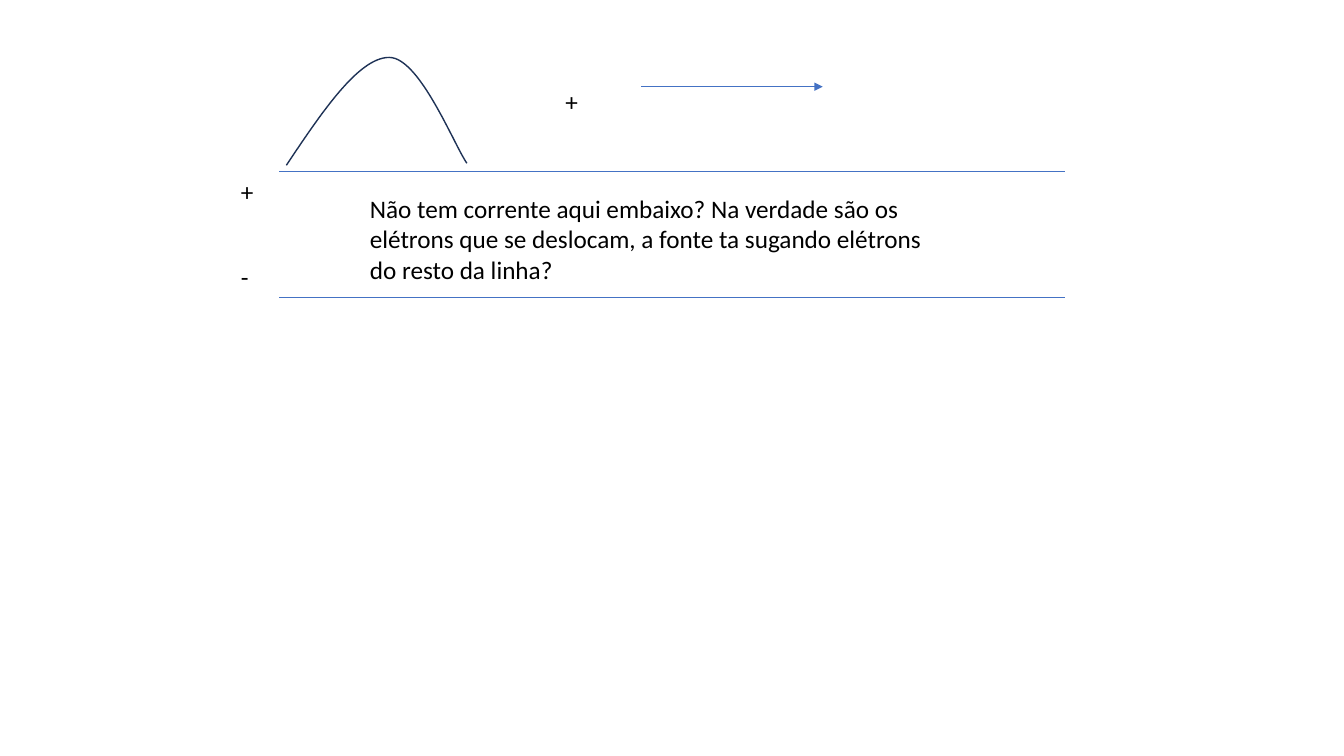
from lxml import etree
from pptx import Presentation
from pptx.dml.color import RGBColor
from pptx.enum import shapes as kinds, text as txt
from pptx.oxml import ns
from pptx.util import Inches, Pt

# Content: all lengths in inches
COLORS = {"pulse": "1E3256", "line": "4472C4", "text": "000000"}
FONT = {"name": "Calibri", "size": Pt(18)}
LABELS = [  # text, left, top, width, height
    ("+", 5.51, 0.81, 0.6, 0.4),
    ("+", 2.29, 1.7, 0.6, 0.4),
    ("-", 2.29, 2.54, 0.6, 0.4),
    ("Não tem corrente aqui embaixo? Na verdade são os elétrons que se "
     "deslocam, a fonte ta sugando elétrons do resto da linha?",
     3.57, 1.87, 5.95, 1.01),
]
LINES = [  # left, right, height on the slide, arrowhead
    (2.77, 10.56, 1.7, False),
    (6.36, 8.16, 0.86, True),
    (2.77, 10.56, 2.95, False),
]
PULSE = [  # two Bezier curves that meet at the crest
    ((2.84, 1.64), (3.2, 1.1), (3.56, 0.57), (3.86, 0.57)),
    ((3.86, 0.57), (4.16, 0.57), (4.5, 1.43), (4.63, 1.62)),
]
STEPS = 30


def color(name):
    return RGBColor.from_string(COLORS[name])


def bezier(curve, t):
    weights = ((1 - t) ** 3, 3 * t * (1 - t) ** 2, 3 * t * t * (1 - t), t ** 3)
    return tuple(Inches(sum(w * p[axis] for w, p in zip(weights, curve)))
                 for axis in (0, 1))


def add_line(slide, left, right, top, arrow):
    line = slide.shapes.add_connector(
        kinds.MSO_CONNECTOR.STRAIGHT,
        Inches(left), Inches(top), Inches(right), Inches(top))
    line.line.color.rgb = color("line")
    line.line.width = Pt(0.5)
    if arrow:
        stroke = line.line._get_or_add_ln()
        etree.SubElement(stroke, ns.qn("a:tailEnd"), type="triangle")
    etree.SubElement(line._element.spPr, ns.qn("a:effectLst"))


def add_label(slide, words, *box):
    frame = slide.shapes.add_textbox(*map(Inches, box)).text_frame
    frame.word_wrap = True
    frame.auto_size = txt.MSO_AUTO_SIZE.SHAPE_TO_FIT_TEXT
    run = frame.paragraphs[0].add_run()
    run.text = words
    for key, value in FONT.items():
        setattr(run.font, key, value)
    run.font.color.rgb = color("text")


def add_pulse(slide):
    points = [bezier(curve, step / STEPS)
              for curve in PULSE for step in range(1, STEPS + 1)]
    path = slide.shapes.build_freeform(*bezier(PULSE[0], 0))
    path.add_line_segments(points, close=False)
    pulse = path.convert_to_shape()
    pulse.shadow.inherit = False
    pulse.fill.background()
    pulse.line.color.rgb = color("pulse")
    pulse.line.width = Pt(1)


def main():
    deck = Presentation()
    deck.slide_width, deck.slide_height = Inches(13.33), Inches(7.5)
    slide = deck.slides.add_slide(deck.slide_layouts[6])

    # Pulse above the line
    add_pulse(slide)

    # Conductors and direction arrow
    for line in LINES:
        add_line(slide, *line)

    # Signs and question
    for label in LABELS:
        add_label(slide, *label)

    deck.save("out.pptx")


if __name__ == "__main__":
    main()
